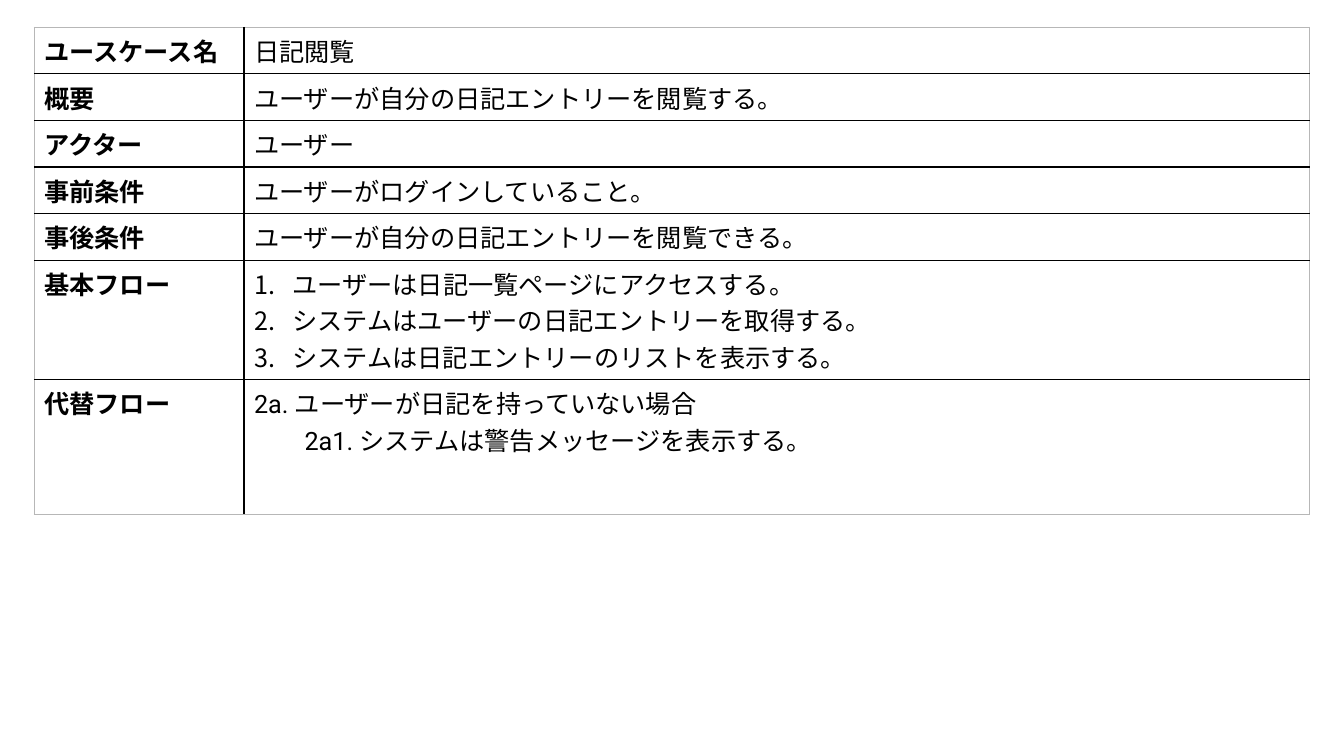
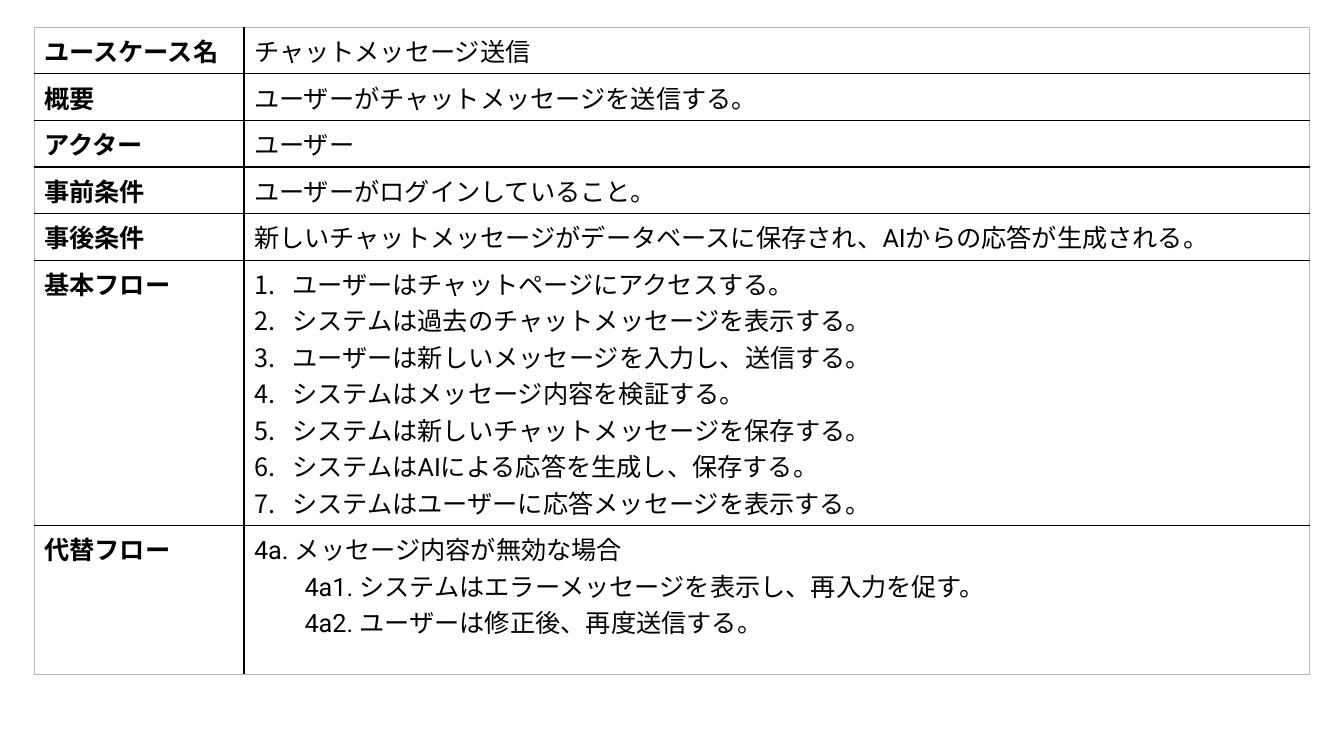
from lxml.etree import SubElement
from pptx import Presentation
from pptx.dml.color import RGBColor
from pptx.enum.lang import MSO_LANGUAGE_ID
from pptx.oxml.ns import qn
from pptx.util import Inches, Pt

# Shared labels and column layout
LABELS = ["ユースケース名", "概要", "アクター", "事前条件", "事後条件", "基本フロー", "代替フロー"]
COLUMN_WIDTHS = [2.08, 10.57]
FIELD_HEIGHT = 0.46

# One use case per slide: single-line fields, numbered steps, alternative flow
USE_CASES = [
    {
        "fields": [
            "日記閲覧",
            "ユーザーが自分の日記エントリーを閲覧する。",
            "ユーザー",
            "ユーザーがログインしていること。",
            "ユーザーが自分の日記エントリーを閲覧できる。",
        ],
        "steps": [
            "ユーザーは日記一覧ページにアクセスする。",
            "システムはユーザーの日記エントリーを取得する。",
            "システムは日記エントリーのリストを表示する。",
        ],
        "condition": "2a. ユーザーが日記を持っていない場合",
        "responses": ["2a1. システムは警告メッセージを表示する。"],
        "flow_heights": [1.18, 1.34],
    },
    {
        "fields": [
            "チャットメッセージ送信",
            "ユーザーがチャットメッセージを送信する。",
            "ユーザー",
            "ユーザーがログインしていること。",
            "新しいチャットメッセージがデータベースに保存され、AIからの応答が生成される。",
        ],
        "steps": [
            "ユーザーはチャットページにアクセスする。",
            "システムは過去のチャットメッセージを表示する。",
            "ユーザーは新しいメッセージを入力し、送信する。",
            "システムはメッセージ内容を検証する。",
            "システムは新しいチャットメッセージを保存する。",
            "システムはAIによる応答を生成し、保存する。",
            "システムはユーザーに応答メッセージを表示する。",
        ],
        "condition": "4a. メッセージ内容が無効な場合",
        "responses": [
            "4a1. システムはエラーメッセージを表示し、再入力を促す。",
            "4a2. ユーザーは修正後、再度送信する。",
        ],
        "flow_heights": [2.63, 1.48],
    },
]


def rgb(value):
    return RGBColor.from_string(value)


class UseCaseDeck:
    INK = "000000"
    OUTLINE = "B7B7B7"
    FONT = {"name": "Roboto", "size": Pt(18), "language_id": MSO_LANGUAGE_ID.JAPANESE}
    MARGINS = {
        "margin_left": Inches(0.1), "margin_right": Inches(0.1),
        "margin_top": Inches(0.05), "margin_bottom": Inches(0.05),
    }
    INDENTS = {"plain": (0, 0), "step": (0.38, -0.38), "response": (0.5, 0)}

    def __init__(self):
        self.deck = Presentation()
        self.deck.slide_width = Inches(13.33)
        self.deck.slide_height = Inches(7.5)
        self.slide = None

    def add_slide(self):
        self.slide = self.deck.slides.add_slide(self.deck.slide_layouts[6])

    def add_border(self, cell, side, color, width):
        line = SubElement(cell._tc.get_or_add_tcPr(), qn(f"a:ln{side}"), w=str(Pt(width)))
        fill = SubElement(line, qn("a:solidFill"))
        SubElement(fill, qn("a:srgbClr"), val=color)

    def add_paragraph(self, paragraph, text, kind="plain", bold=False):
        run = paragraph.add_run()
        run.text = text
        for name, value in {**self.FONT, "bold": bold}.items():
            setattr(run.font, name, value)
        run.font.color.rgb = rgb(self.INK)
        # Indents and automatic numbers
        paragraph.level = 1 if kind == "response" else 0
        properties = paragraph._p.get_or_add_pPr()
        for name, length in zip(("marL", "indent"), self.INDENTS[kind]):
            properties.set(name, str(Inches(length)))
        if kind == "step":
            SubElement(properties, qn("a:buAutoNum"), type="arabicPeriod")
        else:
            SubElement(properties, qn("a:buNone"))

    def fill_cell(self, cell, lines, outer_sides, bold=False):
        for name, value in self.MARGINS.items():
            setattr(cell, name, value)
        for side in "LRTB":
            color, width = (self.OUTLINE, 0.75) if side in outer_sides else (self.INK, 1)
            self.add_border(cell, side, color, width)
        cell.fill.background()
        frame = cell.text_frame
        for index, (text, kind) in enumerate(lines):
            paragraph = frame.add_paragraph() if index else frame.paragraphs[0]
            self.add_paragraph(paragraph, text, kind, bold)

    def add_use_case_table(self, contents, heights):
        table = self.slide.shapes.add_table(
            len(contents), len(COLUMN_WIDTHS), Inches(0.34), Inches(0.27),
            Inches(sum(COLUMN_WIDTHS)), Inches(sum(heights))).table
        for name in ("first_row", "horz_banding"):
            setattr(table, name, False)
        for column, width in zip(table.columns, COLUMN_WIDTHS):
            column.width = Inches(width)
        for index, (label, lines) in enumerate(zip(LABELS, contents)):
            row = table.rows[index]
            row.height = Inches(heights[index])
            edge = "T" if index == 0 else "B" if index == len(contents) - 1 else ""
            self.fill_cell(row.cells[0], [(label, "plain")], edge + "L", bold=True)
            self.fill_cell(row.cells[1], lines, edge + "R")

    def add_use_case(self, case):
        self.add_slide()
        contents = [[(field, "plain")] for field in case["fields"]]
        contents.append([(step, "step") for step in case["steps"]])
        contents.append([(case["condition"], "plain")]
                        + [(response, "response") for response in case["responses"]])
        heights = [FIELD_HEIGHT] * len(case["fields"]) + case["flow_heights"]
        self.add_use_case_table(contents, heights)


def main():
    builder = UseCaseDeck()
    for case in USE_CASES:
        builder.add_use_case(case)
    builder.deck.save("out.pptx")


if __name__ == "__main__":
    main()
